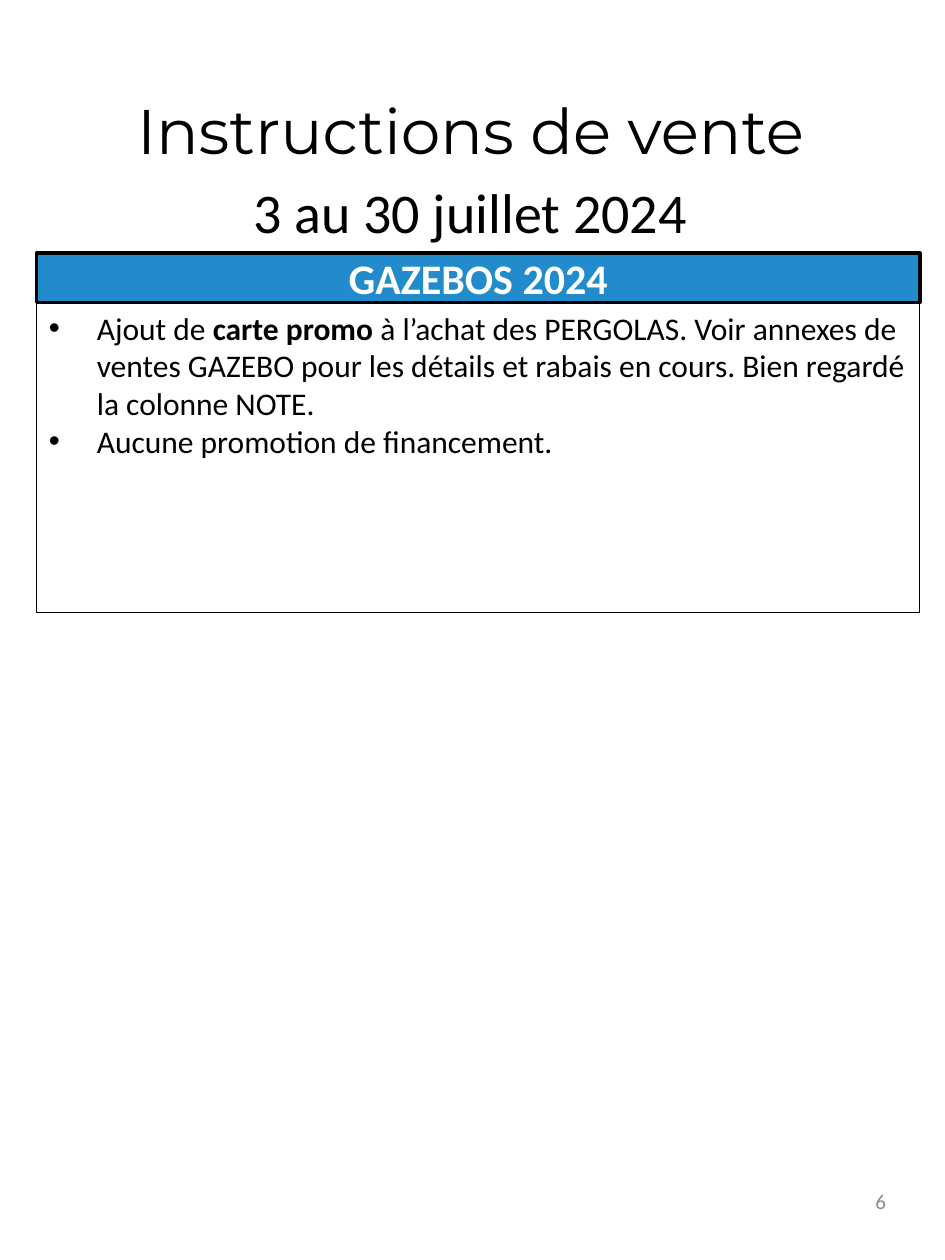
from lxml import etree
from pptx import Presentation
from pptx.dml.color import RGBColor
from pptx.enum.shapes import MSO_SHAPE as Shape
from pptx.enum.text import MSO_ANCHOR as Anchor, PP_ALIGN as Align
from pptx.oxml.ns import qn
from pptx.util import Inches, Pt

BLACK = RGBColor(0x00, 0x00, 0x00)
WHITE = RGBColor(0xFF, 0xFF, 0xFF)
BLUE = RGBColor(0x21, 0x8B, 0xCB)
GREY = RGBColor(0x8C, 0x8C, 0x8C)

LEFT, WIDTH = 0.29, 7.01
BANNER_TOP, BANNER_HEIGHT = 2.01, 0.39


def add_run(paragraph, text, size, color=BLACK, bold=False, face="Calibri"):
    run = paragraph.add_run()
    run.text = text
    run.font.size = Pt(size)
    run.font.name = face
    run.font.bold = bold
    run.font.color.rgb = color
    return run


def add_panel(top, height, line_width):
    panel = slide.shapes.add_shape(
        Shape.RECTANGLE, Inches(LEFT), Inches(top), Inches(WIDTH), Inches(height))
    panel.shadow.inherit = False
    panel.line.color.rgb = BLACK
    panel.line.width = Pt(line_width)
    panel.text_frame.word_wrap = True
    return panel


prs = Presentation()
prs.slide_width, prs.slide_height = Inches(7.5), Inches(10)
slide = prs.slides.add_slide(prs.slide_layouts[6])

banner = add_panel(BANNER_TOP, BANNER_HEIGHT, 2)
banner.fill.solid()
banner.fill.fore_color.rgb = BLUE
banner.text_frame.vertical_anchor = Anchor.MIDDLE
heading = banner.text_frame.paragraphs[0]
heading.alignment = Align.CENTER
add_run(heading, "GAZEBOS 2024", 24, WHITE, True)

details = add_panel(BANNER_TOP + BANNER_HEIGHT, 2.46, 0.75)
details.fill.background()
details.text_frame.vertical_anchor = Anchor.TOP
instructions = [
    [("Ajout de ", False), ("carte promo ", True),
     ("à l’achat des PERGOLAS. Voir annexes de ventes GAZEBO pour les détails "
      "et rabais en cours. Bien regardé la colonne NOTE.", False)],
    [("Aucune promotion de financement.", False)],
]
for index, parts in enumerate(instructions):
    frame = details.text_frame
    item = frame.add_paragraph() if index else frame.paragraphs[0]
    item.alignment = Align.LEFT
    item_format = item._p.get_or_add_pPr()
    item_format.set("marL", str(Inches(0.38)))
    item_format.set("indent", str(-Inches(0.38)))
    etree.SubElement(item_format, qn("a:buFont"), typeface="Arial")
    etree.SubElement(item_format, qn("a:buChar"), char="•")
    for text, bold in parts:
        add_run(item, text, 18, bold=bold)

page_number = slide.shapes.add_textbox(
    Inches(5.38), Inches(9.27), Inches(1.75), Inches(0.53)).text_frame
page_number.word_wrap = True
page_number.vertical_anchor = Anchor.MIDDLE
page_number.paragraphs[0].alignment = Align.RIGHT
add_run(page_number.paragraphs[0], "6", 12, GREY)

title = slide.shapes.add_textbox(
    Inches(0.36), Inches(0.59), Inches(6.75), Inches(1.18)).text_frame
title.word_wrap = True
title_lines = title.paragraphs[0]
title_lines.alignment = Align.CENTER
title_lines.line_spacing = 1.15
title_lines.space_after = Pt(10)
title_run = add_run(title_lines, "Instructions de vente", 36, face="Montserrat")
title_lines.add_line_break()
dates_run = add_run(title_lines, "3 au 30 juillet 2024", 32)
for run in (title_run, dates_run):
    outline = etree.Element(qn("a:ln"), w=str(Pt(0.4)))
    outline_fill = etree.SubElement(outline, qn("a:solidFill"))
    etree.SubElement(outline_fill, qn("a:srgbClr"), val=str(BLACK))
    run.font._element.insert(0, outline)

prs.save("out.pptx")
